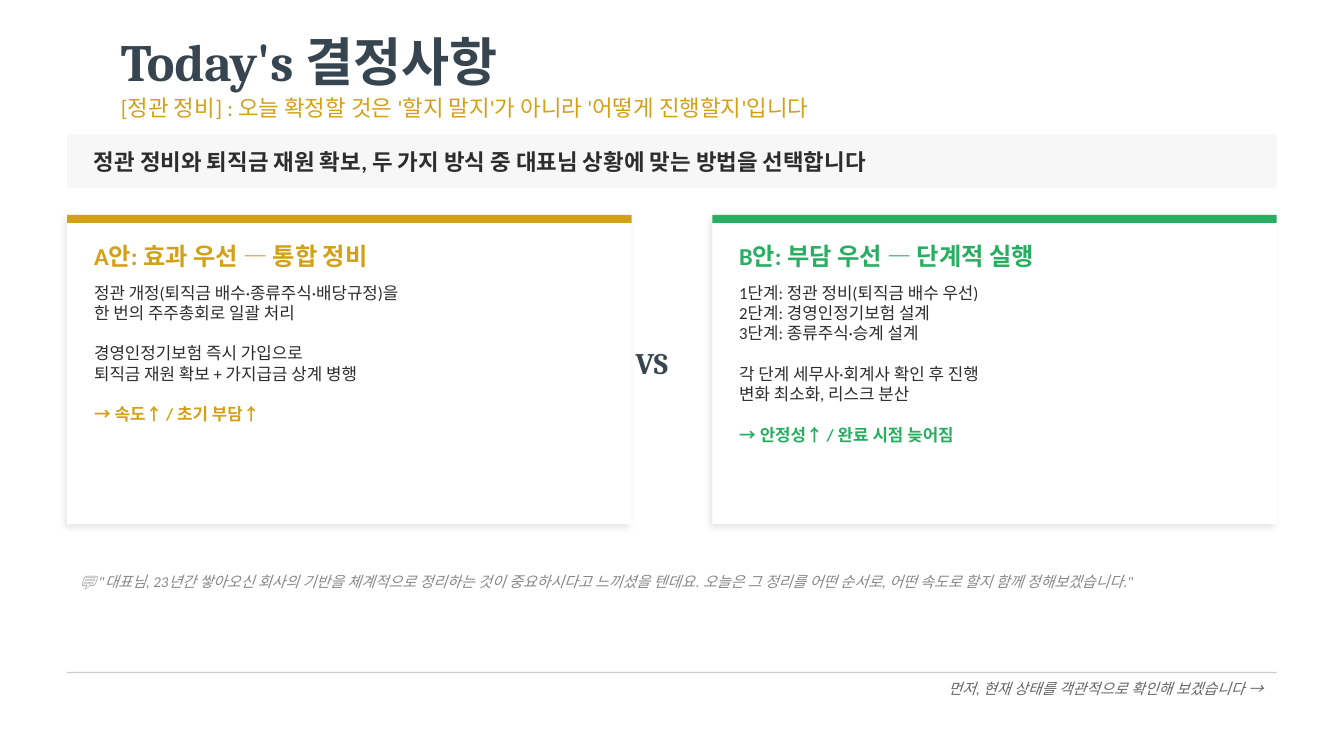
from lxml import etree
from pptx import Presentation
from pptx import util as u
from pptx.dml.color import RGBColor
from pptx.enum import shapes, text
from pptx.oxml import ns

PX = 9144  # 100 px to the inch
SERIF, SANS = "Cambria", "Calibri"
SLATE, INK, GOLD, GREEN = "36454F", "2D2D2D", "D4A017", "27AE60"
WHITE, PALE, LINE, GREY, DARK_GREY = "FFFFFF", "F7F7F7", "CCCCCC", "888888", "666666"
LEFT, CENTER, RIGHT = text.PP_ALIGN.LEFT, text.PP_ALIGN.CENTER, text.PP_ALIGN.RIGHT
MIDDLE, TOP = text.MSO_ANCHOR.MIDDLE, text.MSO_ANCHOR.TOP
SLIDE_WIDTH, MARGIN, CONTENT_WIDTH = 1000, 50, 900
CARD_WIDTH, CARD_HEIGHT = 420, 230
BLANK_LINE = 11  # points between groups of lines


def emu(*lengths):
    return [u.Emu(length * PX) for length in lengths]


def color(value):
    return RGBColor.from_string(value)


def add_shadow(shape):
    """Soft shadow below a card."""
    effects = shape._element.spPr.find(ns.qn("a:effectLst"))
    shadow = etree.SubElement(effects, ns.qn("a:outerShdw"), blurRad=str(u.Pt(4)),
                              dist=str(u.Pt(2)), dir=str(135 * 60000),
                              algn="bl", rotWithShape="0")
    tint = etree.SubElement(shadow, ns.qn("a:srgbClr"), val="000000")
    etree.SubElement(tint, ns.qn("a:alpha"), val="10000")


def add_rectangle(slide, box, fill):
    shape = slide.shapes.add_shape(shapes.MSO_SHAPE.RECTANGLE, *emu(*box))
    shape.shadow.inherit = False
    shape.fill.solid()
    shape.fill.fore_color.rgb = color(fill)
    shape.line.fill.background()
    return shape


def add_frame(slide, box, anchor=MIDDLE, inset=True):
    frame = slide.shapes.add_textbox(*emu(*box)).text_frame
    frame.word_wrap = True
    frame.vertical_anchor = anchor
    if not inset:
        frame.margin_left = frame.margin_right = 0
        frame.margin_top = frame.margin_bottom = 0
    return frame


def add_run(paragraph, words, size, fill, font=SANS, bold=False, italic=False):
    run = paragraph.add_run()
    run.text = words
    run.font.name = font
    run.font.size = u.Pt(size)
    run.font.bold = bold
    run.font.italic = italic
    run.font.color.rgb = color(fill)


def add_label(slide, box, words, size, fill, align=LEFT, inset=True, **style):
    paragraph = add_frame(slide, box, inset=inset).paragraphs[0]
    paragraph.alignment = align
    add_run(paragraph, words, size, fill, **style)


def add_header(slide, left, top, width):
    add_label(slide, (left, top, width, 50), "Today's 결정사항", 28, SLATE,
              inset=False, font=SERIF, bold=True)
    add_label(slide, (left, top + 45, width, 30),
              "[정관 정비] : 오늘 확정할 것은 '할지 말지'가 아니라 '어떻게 진행할지'입니다",
              12, GOLD, inset=False)


def add_summary(slide, left, top, width, height):
    add_rectangle(slide, (left, top, width, height), PALE)
    add_label(slide, (left + 10, top, width - 20, height),
              "정관 정비와 퇴직금 재원 확보, 두 가지 방식 중 대표님 상황에 맞는 방법을 선택합니다",
              12, INK, bold=True)


def add_card(slide, left, top, accent, title, groups, verdict):
    add_shadow(add_rectangle(slide, (left, top, CARD_WIDTH, CARD_HEIGHT), WHITE))
    add_rectangle(slide, (left, top, CARD_WIDTH, 6), accent)
    inner_left, inner_width = left + 20, CARD_WIDTH - 40
    add_label(slide, (inner_left, top + 15, inner_width, 30), title, 13, accent,
              inset=False, bold=True)

    # Body groups, then the verdict in the accent colour
    frame = add_frame(slide, (inner_left, top + 50, inner_width, 160), TOP, inset=False)
    paragraph = frame.paragraphs[0]
    for group in groups:
        for line in group:
            add_run(paragraph, line, 9, INK)
            paragraph = frame.add_paragraph()
        paragraph.space_before = u.Pt(BLANK_LINE)
    add_run(paragraph, verdict, 9, accent, bold=True)


def add_quote(slide, left, top, width):
    add_label(slide, (left, top, width, 35),
              '💬 "대표님, 23년간 쌓아오신 회사의 기반을 체계적으로 정리하는 것이 중요하시다고 '
              '느끼셨을 텐데요. 오늘은 그 정리를 어떤 순서로, 어떤 속도로 할지 함께 정해보겠습니다."',
              8, GREY, italic=True)


def add_footer(slide, left, top, width):
    add_rectangle(slide, (left, top, width, 1), LINE)
    add_label(slide, (left, top - 5, width, 35),
              "먼저, 현재 상태를 객관적으로 확인해 보겠습니다 →",
              8, DARK_GREY, align=RIGHT, italic=True)


CARDS = [
    (GOLD, "A안: 효과 우선 — 통합 정비",
     [["정관 개정(퇴직금 배수·종류주식·배당규정)을", "한 번의 주주총회로 일괄 처리"],
      ["경영인정기보험 즉시 가입으로", "퇴직금 재원 확보 + 가지급금 상계 병행"]],
     "→ 속도↑ / 초기 부담↑"),
    (GREEN, "B안: 부담 우선 — 단계적 실행",
     [["1단계: 정관 정비(퇴직금 배수 우선)", "2단계: 경영인정기보험 설계",
       "3단계: 종류주식·승계 설계"],
      ["각 단계 세무사·회계사 확인 후 진행", "변화 최소화, 리스크 분산"]],
     "→ 안정성↑ / 완료 시점 늦어짐"),
]


def main():
    presentation = Presentation()
    # Wide format, 16 to 9
    presentation.slide_width = u.Emu(SLIDE_WIDTH * PX)
    presentation.slide_height = u.Emu(SLIDE_WIDTH * PX * 9 // 16)
    slide = presentation.slides.add_slide(presentation.slide_layouts[6])

    add_header(slide, 90, 20, 860)
    add_summary(slide, MARGIN, 100, CONTENT_WIDTH, 40)
    # Two options, one at each margin
    step = CONTENT_WIDTH - CARD_WIDTH
    for index, card in enumerate(CARDS):
        add_card(slide, MARGIN + index * step, 160, *card)
    add_label(slide, (455, 240, 60, 60), "VS", 16, SLATE, align=CENTER,
              font=SERIF, bold=True)
    add_quote(slide, MARGIN, 415, CONTENT_WIDTH)
    add_footer(slide, MARGIN, 500, CONTENT_WIDTH)

    presentation.save("out.pptx")


if __name__ == "__main__":
    main()
